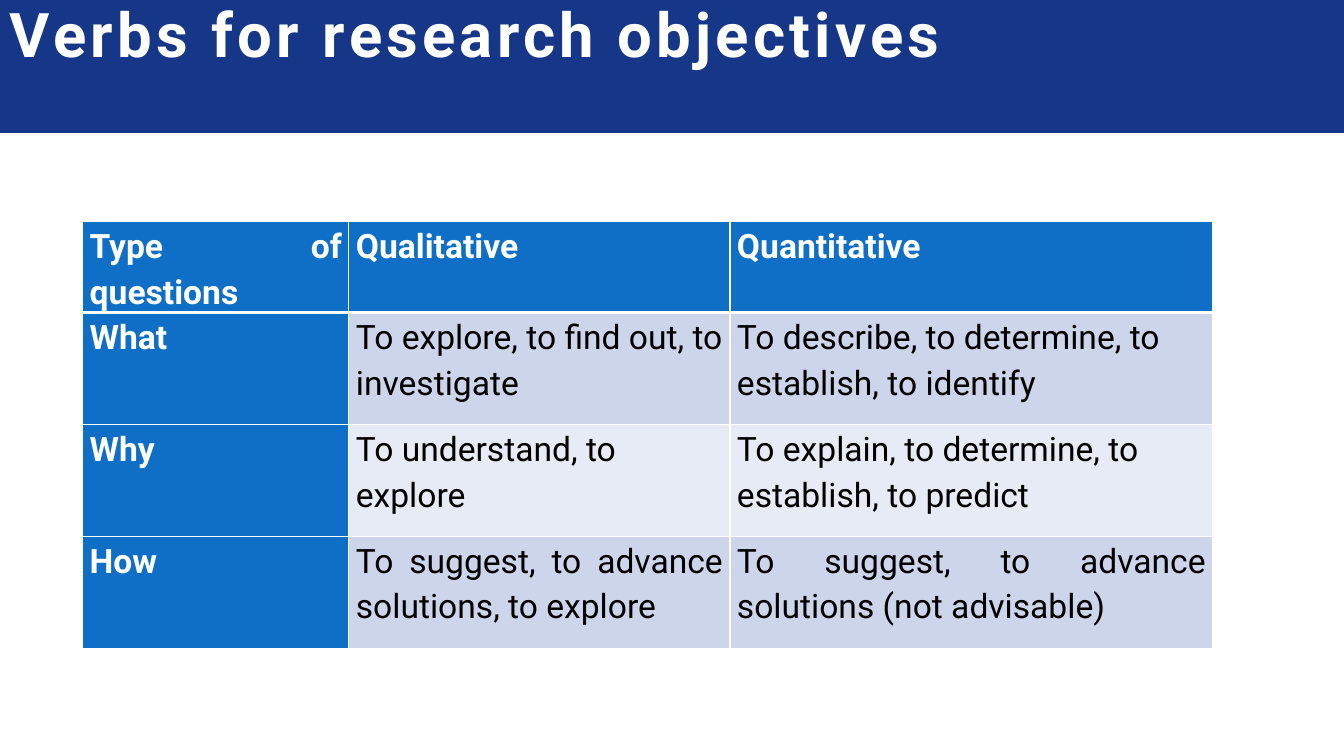
from dataclasses import dataclass

from lxml.etree import SubElement
from pptx import Presentation
from pptx.dml.color import RGBColor
from pptx.enum.shapes import MSO_SHAPE
from pptx.enum.text import MSO_ANCHOR, PP_ALIGN
from pptx.oxml.ns import qn
from pptx.util import Inches, Pt


@dataclass(frozen=True)
class Theme:
    font: str = "Roboto"
    title_size: int = 44
    table_size: int = 24
    white: str = "FFFFFF"
    black: str = "000000"
    banner: str = "163788"
    header: str = "0F6FC6"
    bands: tuple = ("CCD5EA", "E7EBF5")


HEADINGS = ["Type of questions", "Qualitative", "Quantitative"]
QUESTIONS = [
    ["What", "To explore, to find out, to investigate",
     "To describe, to determine, to establish, to identify"],
    ["Why", "To understand, to explore",
     "To explain, to determine, to establish, to predict"],
    ["How", "To suggest, to advance solutions, to explore",
     "To suggest, to advance solutions (not advisable)"],
]
COLUMN_WIDTHS = [2.64, 3.78, 4.79]
ROW_HEIGHTS = [0.54, 1.11, 1.11, 1.11]


class SlideBuilder:
    def __init__(self, slide, theme):
        self.slide = slide
        self.theme = theme

    def add_run(self, paragraph, text, size, color, bold):
        run = paragraph.add_run()
        run.text = text
        run.font.name = self.theme.font
        run.font.size = Pt(size)
        run.font.bold = bold
        run.font.color.rgb = RGBColor.from_string(color)
        return run

    def add_title(self, text):
        shape = self.slide.shapes.add_shape(
            MSO_SHAPE.RECTANGLE, Inches(0), Inches(-0.01), Inches(13.33), Inches(1.33))
        shape.shadow.inherit = False
        shape.fill.solid()
        shape.fill.fore_color.rgb = RGBColor.from_string(self.theme.banner)
        shape.line.fill.background()
        frame = shape.text_frame
        frame.word_wrap = True
        frame.vertical_anchor = MSO_ANCHOR.TOP
        paragraph = frame.paragraphs[0]
        paragraph.alignment = PP_ALIGN.LEFT
        paragraph.line_spacing = 0.9
        run = self.add_run(paragraph, text, self.theme.title_size, self.theme.white, True)
        run.font._element.set("spc", "300")

    def add_border(self, cell, side, width):
        properties = cell._tc.get_or_add_tcPr()
        line = SubElement(properties, qn(f"a:ln{side}"), w=str(Pt(width)))
        fill = SubElement(line, qn("a:solidFill"))
        SubElement(fill, qn("a:srgbClr"), val=self.theme.white)

    def fill_cell(self, cell, text, row, column):
        is_heading = row == 0 or column == 0
        is_justified = is_heading or row == len(QUESTIONS)
        thick_side = {0: "B", 1: "T"}.get(row)
        for side in "LRTB":
            self.add_border(cell, side, 3 if side == thick_side else 1)
        cell.margin_left = cell.margin_right = Inches(0.07)
        cell.margin_top = cell.margin_bottom = Inches(0)
        cell.fill.solid()
        color = self.theme.header if is_heading else self.theme.bands[(row - 1) % 2]
        cell.fill.fore_color.rgb = RGBColor.from_string(color)
        paragraph = cell.text_frame.paragraphs[0]
        paragraph.alignment = PP_ALIGN.JUSTIFY if is_justified else PP_ALIGN.LEFT
        paragraph.line_spacing = 1.15
        paragraph.space_after = Pt(10)
        text_color = self.theme.white if is_heading else self.theme.black
        self.add_run(paragraph, text, self.theme.table_size, text_color, is_heading)

    def add_table(self, rows):
        table = self.slide.shapes.add_table(
            len(rows), len(COLUMN_WIDTHS), Inches(0.82), Inches(2.2),
            Inches(sum(COLUMN_WIDTHS)), Inches(sum(ROW_HEIGHTS))).table
        table.first_col = True
        for column, width in zip(table.columns, COLUMN_WIDTHS):
            column.width = Inches(width)
        for row, height in zip(table.rows, ROW_HEIGHTS):
            row.height = Inches(height)
        for row, texts in enumerate(rows):
            for column, text in enumerate(texts):
                self.fill_cell(table.cell(row, column), text, row, column)


def main():
    presentation = Presentation()
    presentation.slide_width = Inches(13.33)
    presentation.slide_height = Inches(7.5)
    slide = presentation.slides.add_slide(presentation.slide_layouts[6])
    builder = SlideBuilder(slide, Theme())
    builder.add_title("Verbs for research objectives")
    builder.add_table([HEADINGS, *QUESTIONS])
    presentation.save("out.pptx")


if __name__ == "__main__":
    main()
